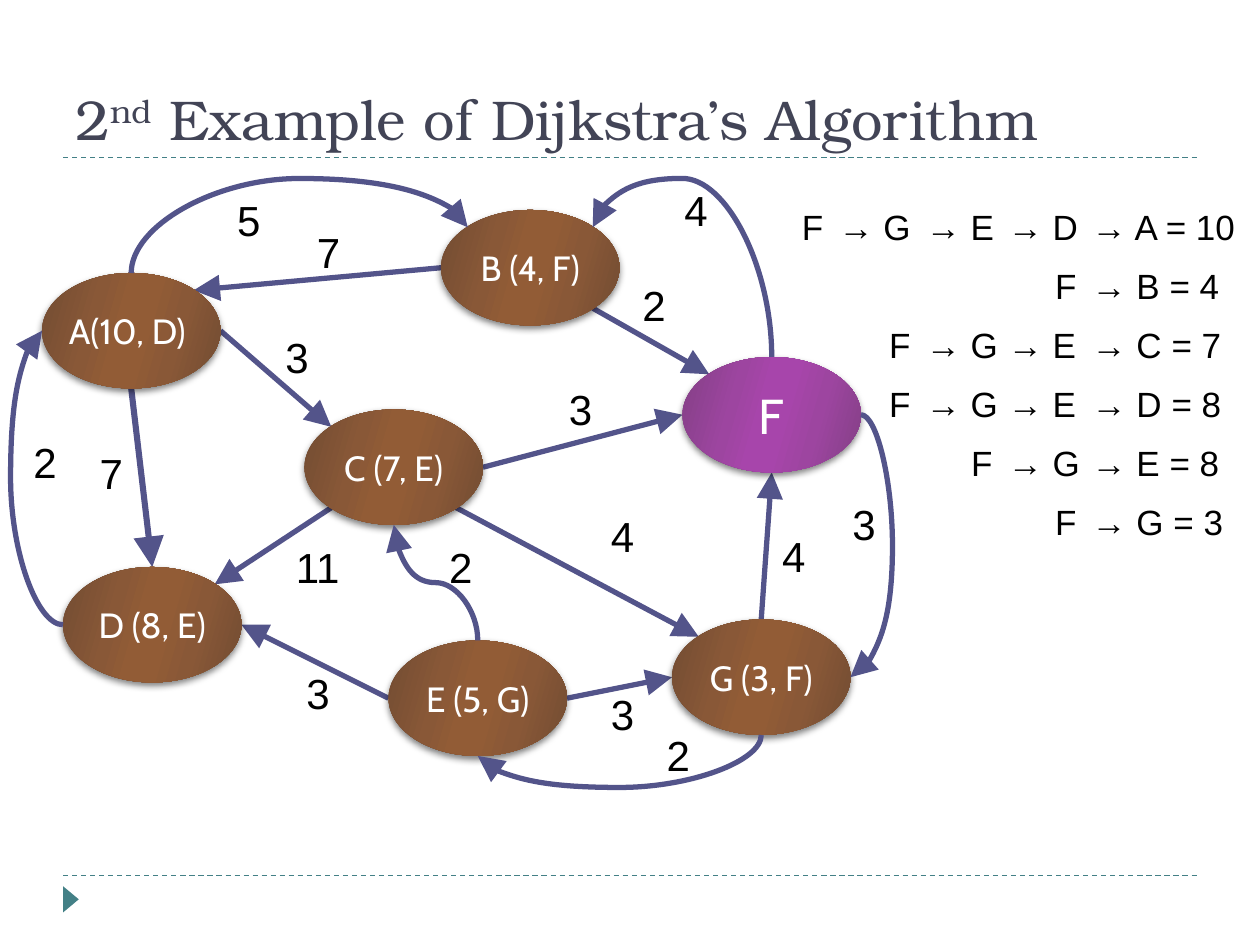
from math import cos, radians, sin

from lxml.etree import SubElement as Sub
from pptx import Presentation
from pptx.dml.color import RGBColor as Rgb
from pptx.enum.dml import MSO_LINE as Dash
from pptx.enum.shapes import MSO_CONNECTOR as Link, MSO_SHAPE as Form
from pptx.enum.text import MSO_ANCHOR as Anchor, MSO_AUTO_SIZE as Auto, PP_ALIGN as Align
from pptx.oxml.ns import qn
from pptx.util import Inches, Pt

# Twelve grid cells to the inch: the slide is 120 columns by 90 rows
COLS, ROWS = 120, 90
WIDE, HIGH = 17, 11  # node size

HUES = {
    "rule": "438086", "title": "424456", "edge": "53548A",
    "text": "000000", "node": "FFFFFF",
}
SHADES = {
    "brown": ("724C32", "895837", "925C36"),
    "purple": ("833F85", "9D45A0", "A745AB"),
}

# name: (column, row, label, size, shade)
NODES = {
    "E": (37, 61, "E (5, G)", 20, "brown"),
    "A": (4, 26, "A(10, D) ", 20, "brown"),
    "C": (29, 39, "C (7, E)", 20, "brown"),
    "D": (6, 54, "D (8, E)", 20, "brown"),
    "F": (65, 34, "F", 28, "purple"),
    "G": (64, 59, "G (3, F)", 20, "brown"),
    "B": (42, 20, "B (4, F)", 20, "brown"),
}
# Rim points of an ellipse, as shares of its size
RIM = {
    "n": (0.5, 0), "s": (0.5, 1), "w": (0, 0.5), "e": (1, 0.5),
    "nw": (0.15, 0.15), "ne": (0.85, 0.15),
    "sw": (0.15, 0.85), "se": (0.85, 0.85),
}
# (from, to, line width)
EDGES = [
    ("A s", "D n", 3.5), ("A e", "C nw", 3), ("C e", "F w", 3),
    ("E e", "G w", 3), ("E w", "D e", 3), ("G n", "F s", 3),
    ("C sw", "D ne", 3), ("C se", "G nw", 3), ("B se", "F nw", 3),
    ("B w", "A ne", 3),
]
# (from, to, turn, grid line that the bend reaches)
ARCS = [
    ("A n", "B nw", 90, 17), ("D w", "A w", 180, 1), ("F n", "B ne", 270, 17),
    ("E n", "C s", 270, 55.5), ("F e", "G e", 0, 85), ("G s", "E s", 90, 75),
]
# (weight, column, row)
COSTS = [
    ("7", 29, 21), ("3", 26, 31), ("7", 8.3, 42), ("3", 28, 63),
    ("11", 27, 51), ("4", 57, 48), ("3", 53, 35.9), ("2", 60, 26),
    ("4", 73.3, 49.9), ("3", 57, 65), ("2", 2, 41), ("5", 21.4, 17.9),
    ("4", 64, 17), ("2", 41.6, 51), ("3", 80, 46.9), ("2", 62.3, 68.9),
]
ROUTES = [
    ("G", "E", "D", "A = 10"), ("B = 4",), ("G", "E", "C = 7"),
    ("G", "E", "D = 8"), ("G", "E = 8"), ("G = 3",),
]
STOPS = (78.7, 87, 94.8, 102.8)  # route columns, filled from the right
SPANS = {1: 9.6, 5: 15.4, 6: 16.6}  # box width by length of the stop's text


def cell(n):
    return Inches(n / 12)


def hue(key):
    return Rgb.from_string(HUES[key])


def write(par, text, size, font, key):
    run = par.add_run()
    run.text = text
    run.font.size, run.font.name = Pt(size), font
    run.font.color.rgb = hue(key)
    return run


def label(slide, text, x, y, w, h, size):
    box = slide.shapes.add_textbox(*map(cell, (x, y, w, h)))
    frame = box.text_frame
    frame.word_wrap, frame.auto_size = False, Auto.SHAPE_TO_FIT_TEXT
    write(frame.paragraphs[0], text, size, "Arial", "text")


def wire(slide, kind, start, end, key, width):
    line = slide.shapes.add_connector(kind, *map(cell, (*start, *end)))
    line.line.color.rgb, line.line.width = hue(key), Pt(width)
    Sub(line.element.spPr, qn("a:effectLst"))
    return line


def tip(line):
    Sub(line.line._get_or_add_ln(), qn("a:tailEnd"), type="triangle", w="lg", len="lg")


def spot(name):
    node, side = name.split()
    x, y = NODES[node][:2]
    u, v = RIM[side]
    return x + u * WIDE, y + v * HIGH


def arc(slide, start, end, turn, reach):
    (x, y), (p, q) = start, end
    # Undo the turn, so that the curve leaves along its own x axis
    c, s = round(cos(radians(turn))), round(sin(radians(turn)))
    w, h = c * (p - x) + s * (q - y), c * (q - y) - s * (p - x)
    mid, row = (x + p) / 2, (y + q) / 2
    line = wire(slide, Link.CURVE, (mid - w / 2, row - h / 2),
                (mid + w / 2, row + h / 2), "edge", 3)
    props = line.element.spPr
    props.find(qn("a:xfrm")).set("rot", str(turn * 60000))
    bend = (reach - y) / (q - y) if s else (reach - x) / (p - x)
    Sub(props.find(".//" + qn("a:avLst")), qn("a:gd"),
        name="adj1", fmla=f"val {round(bend * 100000)}")
    tip(line)


def tint(parent, code):
    return Sub(parent, qn("a:srgbClr"), val=code)


def node(slide, x, y, text, size, shade):
    oval = slide.shapes.add_shape(Form.OVAL, *map(cell, (x, y, WIDE, HIGH)))
    oval.line.fill.background()
    oval.shadow.inherit = False
    props = oval.element.spPr
    # Gradient, mirrored about its middle
    grad = Sub(props, qn("a:gradFill"), rotWithShape="1")
    props.find(qn("a:ln")).addprevious(grad)
    stops = Sub(grad, qn("a:gsLst"))
    dark, half, lit = SHADES[shade]
    for at, code in zip((0, 30, 45, 55, 73, 100), (dark, half, lit, lit, half, dark)):
        tint(Sub(stops, qn("a:gs"), pos=str(at * 1000)), code)
    Sub(grad, qn("a:lin"), ang=str(16 * 60000), scaled="0")
    # Soft shadow below
    drop = Sub(props.find(qn("a:effectLst")), qn("a:outerShdw"), blurRad=str(Pt(4)),
               dist=str(Pt(2)), dir=str(90 * 60000), rotWithShape="0")
    Sub(tint(drop, HUES["text"]), qn("a:alpha"), val="50000")
    # Label
    frame = oval.text_frame
    frame.margin_left = frame.margin_right = frame.margin_top = frame.margin_bottom = 0
    frame.vertical_anchor = Anchor.MIDDLE
    par = frame.paragraphs[0]
    par.alignment = Align.CENTER
    write(par, text, size, "Cabin", "node")


def title(slide):
    box = slide.shapes.add_textbox(*map(cell, (6, 2, COLS - 12, 13)))
    frame = box.text_frame
    frame.word_wrap, frame.vertical_anchor = True, Anchor.BOTTOM
    for text, lift in (("2", 0), ("nd", 30), (" Example of Dijkstra’s Algorithm", 0)):
        run = write(frame.paragraphs[0], text, 32, "TeX Gyre Bonum", "title")
        run.font._element.set("baseline", str(lift * 1000))


def trim(slide):
    for y in (83.4, 15):
        line = wire(slide, Link.STRAIGHT, (6, y), (COLS - 6, y), "rule", 0.75)
        line.line.dash_style = Dash.DASH
    mark = slide.shapes.add_shape(Form.ISOSCELES_TRIANGLE, *map(cell, (5.5, 84.9, 2.5, 1.5)))
    mark.rotation, mark.shadow.inherit = 90, False
    mark.fill.solid()
    mark.fill.fore_color.rgb = hue("rule")
    mark.line.fill.background()


def route(slide, y, hops):
    cols = STOPS[-len(hops):]
    label(slide, "F", cols[0] - 3.5, y, 4.4, 5.3, 20)
    for x, hop in zip(cols, hops):
        label(slide, "→ " + hop, x, y, SPANS[len(hop)], 5.3, 20)


def main():
    deck = Presentation()
    deck.slide_width, deck.slide_height = cell(COLS), cell(ROWS)
    slide = deck.slides.add_slide(deck.slide_layouts[6])
    trim(slide)
    title(slide)
    # Graph
    for start, end, width in EDGES:
        tip(wire(slide, Link.STRAIGHT, spot(start), spot(end), "edge", width))
    for item in NODES.values():
        node(slide, *item)
    for start, end, turn, reach in ARCS:
        arc(slide, spot(start), spot(end), turn, reach)
    for text, x, y in COSTS:
        label(slide, text, x, y, 4.7 if len(text) == 1 else 6.6, 6.1, 24)
    # Shortest routes from F
    for i, hops in enumerate(ROUTES):
        route(slide, 19 + 5.62 * i, hops)
    deck.save("out.pptx")


if __name__ == "__main__":
    main()
